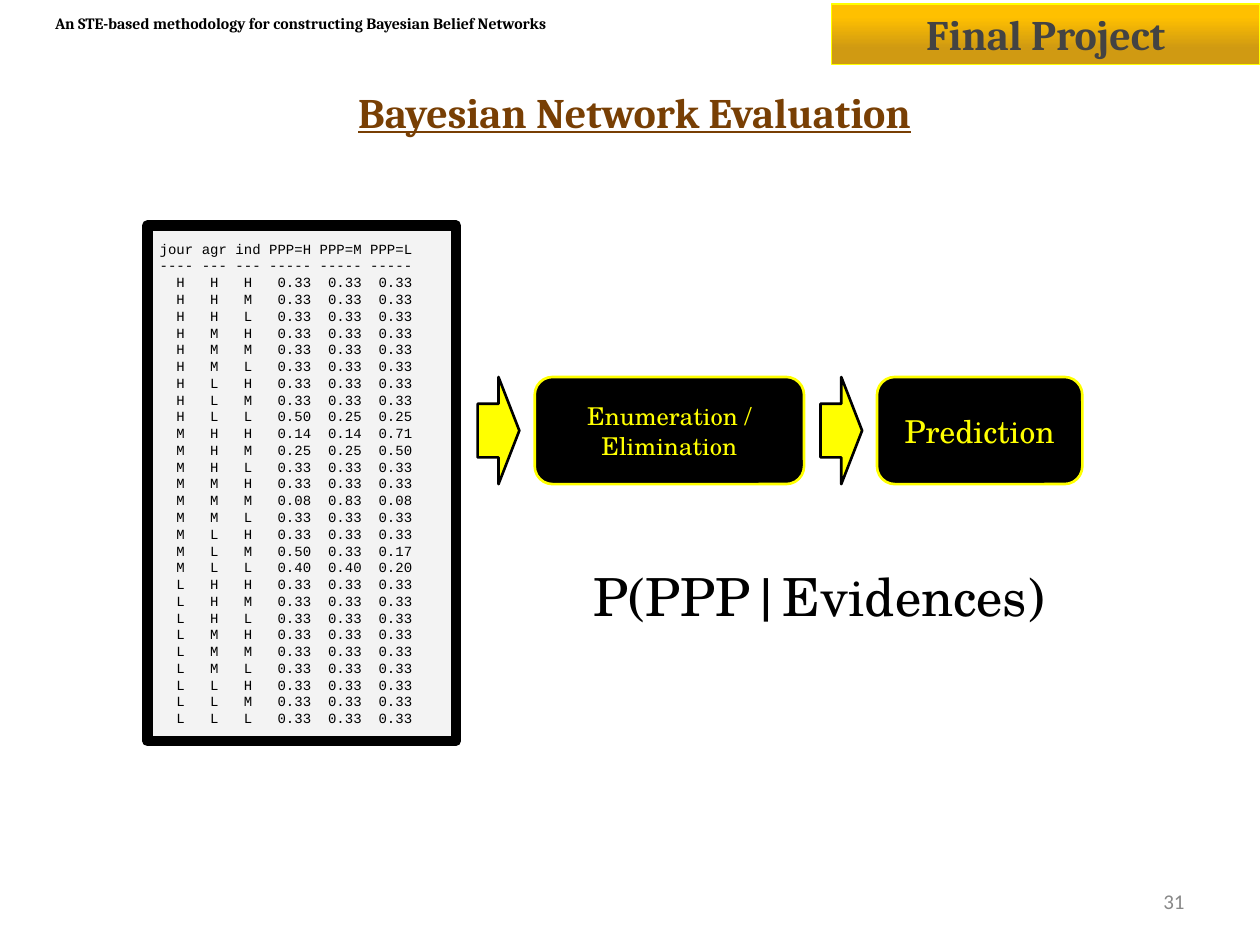
from copy import deepcopy
from itertools import product

from pptx import Presentation
from pptx.dml.color import RGBColor
from pptx.enum.shapes import MSO_SHAPE
from pptx.enum.text import MSO_ANCHOR, MSO_AUTO_SIZE, PP_ALIGN
from pptx.oxml.ns import qn
from pptx.util import Cm, Pt

BLACK = RGBColor(0x00, 0x00, 0x00)
YELLOW = RGBColor(0xFF, 0xFF, 0x00)
AMBER = RGBColor(0xFF, 0xC0, 0x00)
OCHRE = RGBColor(0xD0, 0x9A, 0x12)
BROWN = RGBColor(0x78, 0x3F, 0x04)
CHARCOAL = RGBColor(0x43, 0x43, 0x43)
GREY = RGBColor(0x88, 0x88, 0x88)
PALE = RGBColor(0xF3, 0xF3, 0xF3)

HEAD, MONO, SERIF = "Cambria", "Courier New", "TeX Gyre Schola"

# Probabilities of PPP = H, M, L wherever they are not uniform
LEARNED = {
    "HLL": (0.50, 0.25, 0.25),
    "MHH": (0.14, 0.14, 0.71),
    "MHM": (0.25, 0.25, 0.50),
    "MMM": (0.08, 0.83, 0.08),
    "MLM": (0.50, 0.33, 0.17),
    "MLL": (0.40, 0.40, 0.20),
}


def probability_lines():
    lines = ["jour agr ind PPP=H PPP=M PPP=L",
             "---- --- --- ----- ----- -----"]
    for states in product("HML", repeat=3):
        values = LEARNED.get("".join(states), (0.33,) * 3)
        lines.append("  " + "   ".join(states) + " "
                     + "".join(f"  {v:.2f}" for v in values))
    return lines


def write(sp, *lines, size, font=SERIF, color=BLACK, bold=False,
          underline=False, align=PP_ALIGN.LEFT, spacing=1.0, pad=0.25):
    """Fill a shape with one formatted paragraph per line."""
    tf = sp.text_frame
    tf.word_wrap = True
    tf.auto_size = MSO_AUTO_SIZE.NONE
    tf.vertical_anchor = MSO_ANCHOR.MIDDLE
    tf.margin_left = tf.margin_right = Cm(0.25)
    tf.margin_top = tf.margin_bottom = Cm(pad)
    for i, line in enumerate(lines):
        p = tf.add_paragraph() if i else tf.paragraphs[0]
        p.alignment = align
        p.line_spacing = spacing
        p.space_before = p.space_after = Pt(0)
        r = p.add_run()
        r.text = line
        r.font.name, r.font.size = font, Pt(size)
        r.font.bold, r.font.underline = bold, underline
        r.font.color.rgb = color


class SlideBuilder:
    def __init__(self, prs):
        self.slide = prs.slides.add_slide(prs.slide_layouts[1])

    def text(self, box, text, **style):
        sp = self.slide.shapes.add_textbox(*map(Cm, box))
        write(sp, text, **style)

    def placeholder(self, idx, box, text, **style):
        sp = self.slide.placeholders[idx]
        sp.left, sp.top, sp.width, sp.height = map(Cm, box)
        pPr = sp.text_frame.paragraphs[0]._p.get_or_add_pPr()
        pPr.set("marL", "0")
        pPr.set("indent", "0")
        pPr.append(pPr.makeelement(qn("a:buNone"), {}))
        write(sp, text, **style)

    def shape(self, kind, box, fill=BLACK, line=YELLOW, width=1.5):
        sp = self.slide.shapes.add_shape(kind, *map(Cm, box))
        sp.shadow.inherit = False
        sp.fill.solid()
        sp.fill.fore_color.rgb = fill
        sp.line.color.rgb = line
        sp.line.width = Pt(width)
        return sp

    def banner(self, box, text):
        sp = self.shape(MSO_SHAPE.ROUNDED_RECTANGLE, box, width=0.75)
        sp.adjustments[0] = 0
        sp.fill.gradient()
        sp.fill.gradient_angle = 90
        first = sp._element.spPr.find(".//" + qn("a:gs"))
        for _ in range(2):
            first.addnext(deepcopy(first))
        stops = ((0, OCHRE), (0.27, OCHRE), (0.79, AMBER), (1, AMBER))
        for stop, (position, color) in zip(sp.fill.gradient_stops, stops):
            stop.position = position
            stop.color.rgb = color
        write(sp, text, size=24, font=HEAD, color=CHARCOAL, bold=True,
              align=PP_ALIGN.CENTER, pad=0.13)

    def step(self, left, width, text, size):
        sp = self.shape(MSO_SHAPE.ROUNDED_RECTANGLE, (left, 7.6, width, 2.16))
        write(sp, text, size=size, color=YELLOW, align=PP_ALIGN.CENTER)

    def arrow(self, left):
        sp = self.shape(MSO_SHAPE.DOWN_ARROW, (left, 8.26, 2.16, 0.84),
                        fill=YELLOW, line=BLACK)
        sp.rotation = 270

    def listing(self, box, lines):
        sp = self.shape(MSO_SHAPE.RECTANGLE, box, fill=PALE, line=BLACK, width=6)
        write(sp, *lines, size=8, font=MONO)


def main():
    prs = Presentation()
    prs.slide_width, prs.slide_height = Cm(25.4), Cm(19.05)
    s = SlideBuilder(prs)

    # Header, title and page number
    s.text((0.86, 0.18, 15.54, 0.56),
           "An STE-based methodology for constructing Bayesian Belief Networks",
           size=9, font=HEAD, bold=True)
    s.banner((16.76, 0.08, 8.64, 1.22), "Final Project")
    s.placeholder(0, (0, 1.57, 25.58, 1.35), "Bayesian Network Evaluation",
                  size=24, font=HEAD, color=BROWN, bold=True, underline=True,
                  align=PP_ALIGN.CENTER)
    s.text((18.21, 17.65, 5.92, 1.02), "31", size=12, font="Calibri",
           color=GREY, align=PP_ALIGN.RIGHT, pad=0.13)

    # Flow from probability table to prediction
    for left in (8.97, 15.88):
        s.arrow(left)
    s.step(10.78, 5.43, "Enumeration / Elimination", 14)
    s.step(17.68, 4.14, "Prediction", 18)
    s.listing((2.97, 4.55, 6.22, 10.39), probability_lines())

    # Formula
    s.placeholder(1, (11.05, 11.23, 10.92, 1.35), "P(PPP|Evidences)",
                  size=30, align=PP_ALIGN.CENTER, spacing=1.15)

    prs.save("out.pptx")


if __name__ == "__main__":
    main()
